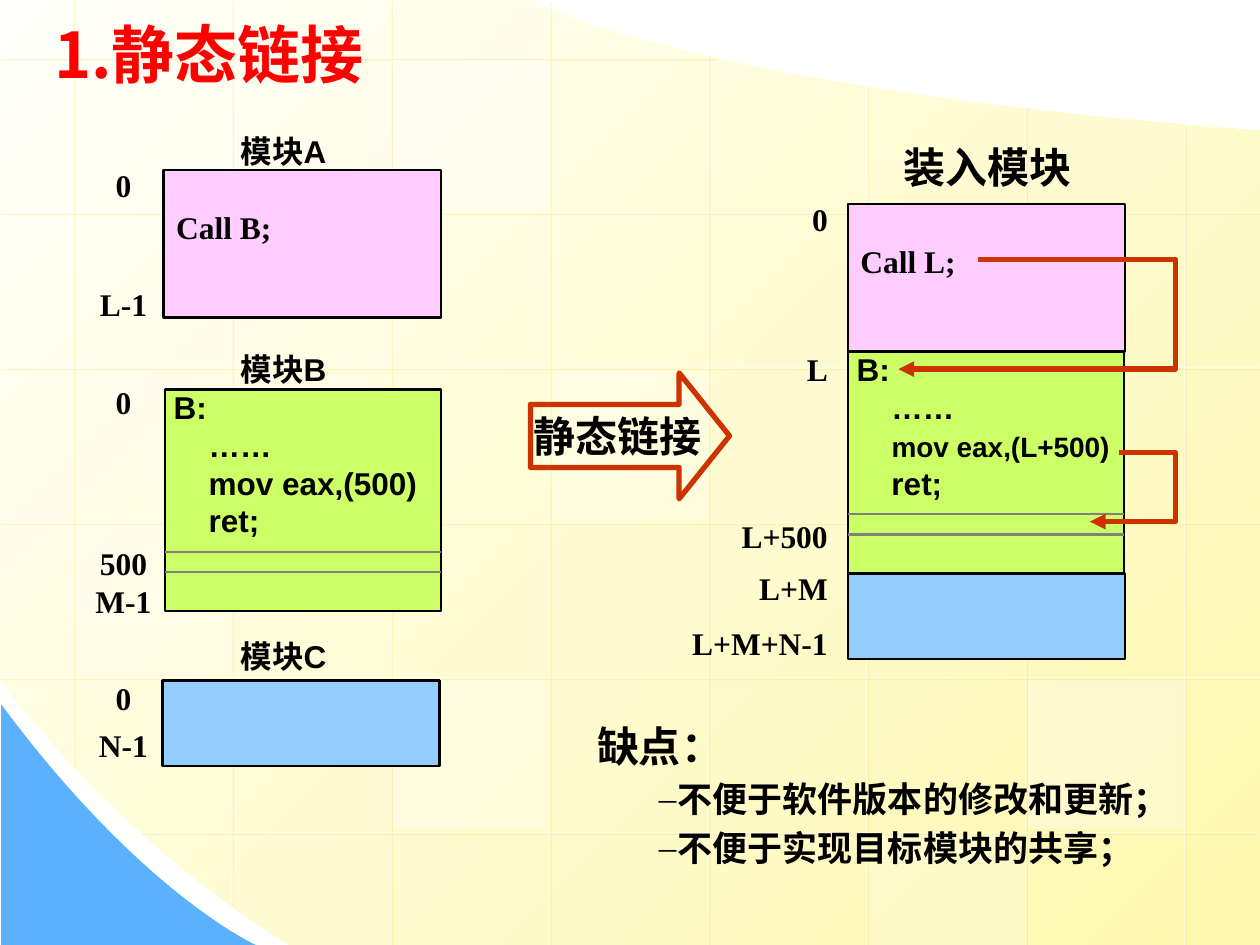
from lxml.etree import SubElement
from pptx import Presentation
from pptx.dml.color import RGBColor as Rgb
from pptx.enum.shapes import MSO_CONNECTOR as Link, MSO_SHAPE as Kind
from pptx.enum.text import MSO_ANCHOR as Anchor, PP_ALIGN as Align
from pptx.oxml.ns import qn
from pptx.util import Inches, Pt

BLACK, WHITE, RED = "000000", "FFFFFF", "CC3300"
PINK, GREEN, BLUE, GRAY = "FFCCFF", "CCFF66", "94CCFE", "808080"
SANS, SERIF, HAN = "Arial", "Times New Roman", "Noto Sans CJK SC"


def tint(text):
    return Rgb.from_string(text)


def fade(node, part):
    SubElement(node, qn("a:alpha"), val=str(part * 1000))


def curve(a, b, c, d, steps=32):
    marks = [i / steps for i in range(steps + 1)]
    return [tuple((1 - t) ** 3 * p + 3 * (1 - t) ** 2 * t * q
                  + 3 * (1 - t) * t * t * r + t ** 3 * s
                  for p, q, r, s in zip(a, b, c, d)) for t in marks]


def write(frame, *lines, size=18, font=SERIF, color=BLACK, align=Align.LEFT,
          anchor=Anchor.MIDDLE, wrap=True, pad=(0, 0, 0, 0)):
    frame.word_wrap = wrap
    frame.vertical_anchor = anchor
    (frame.margin_left, frame.margin_top,
     frame.margin_right, frame.margin_bottom) = map(Inches, pad)
    for i, line in enumerate(lines):
        para = frame.paragraphs[0] if i == 0 else frame.add_paragraph()
        para.alignment = align
        runs = [(line, size)] if isinstance(line, str) else line
        for text, points in runs:
            run = para.add_run()
            run.text = text
            run.font.size = Pt(points)
            run.font.bold = True
            run.font.color.rgb = tint(color)
            run.font.name = font
            SubElement(run.font.fill._xPr, qn("a:ea"), typeface=HAN)


class Deck:
    inset = (0.1, 0.05, 0.1, 0.05)
    edge = 1.5
    bold = 3

    def __init__(self):
        self.prs = Presentation()
        self.prs.slide_width = Inches(10)
        self.prs.slide_height = Inches(7.5)
        self.slide = self.prs.slides.add_slide(self.prs.slide_layouts[6])
        self.shapes = self.slide.shapes

    def style(self, shape, fill=None, line=None, width=edge):
        shape.shadow.inherit = False
        if fill:
            shape.fill.solid()
            shape.fill.fore_color.rgb = tint(fill)
        else:
            shape.fill.background()
        if line:
            shape.line.color.rgb = tint(line)
            shape.line.width = Pt(width)
        else:
            shape.line.fill.background()
        return shape

    def box(self, x, y, w, h, fill=None, line=BLACK, kind=Kind.RECTANGLE, width=edge):
        shape = self.shapes.add_shape(kind, *map(Inches, (x, y, w, h)))
        return self.style(shape, fill, line, width)

    def tile(self, col, row, part):
        top = 0.48 + 1.23 * row
        low, high = max(top, 0), min(top + 1.18, 7.5)
        shape = self.box(0.6 + 1.26 * col, low, 1.23, high - low, WHITE, None)
        fade(shape.element.spPr.find(".//" + qn("a:srgbClr")), part)

    def path_of(self, points, close=True):
        dots = [(Inches(x), Inches(y)) for x, y in points]
        form = self.shapes.build_freeform(*dots[0])
        form.add_line_segments(dots[1:], close=close)
        return form.convert_to_shape()

    def route(self, points):
        shape = self.style(self.path_of(points, False), None, RED, self.bold)
        SubElement(shape.line._get_or_add_ln(), qn("a:tailEnd"), type="triangle")

    def rule(self, x1, y1, x2, y2, color=GRAY, width=edge):
        link = self.shapes.add_connector(Link.STRAIGHT, *map(Inches, (x1, y1, x2, y2)))
        link.line.color.rgb = tint(color)
        link.line.width = Pt(width)
        return link, SubElement(link.element.spPr, qn("a:effectLst"))

    def grid(self, *ends):
        link, effect = self.rule(*ends, color=WHITE, width=0.75)
        fade(link.element.spPr.find(".//" + qn("a:srgbClr")), 50)
        glow = SubElement(effect, qn("a:outerShdw"), dist=str(Pt(1.4)),
                          dir="2700000", algn="ctr", rotWithShape="0")
        fade(SubElement(glow, qn("a:srgbClr"), val="FFCC00"), 34)

    def text(self, x, y, w, h, *lines, **form):
        frame = self.shapes.add_textbox(*map(Inches, (x, y, w, h))).text_frame
        write(frame, *lines, **form)
        return frame

    def label(self, text, x, y, w=1.6, h=0.4, **form):
        form = {"align": Align.CENTER, **form}
        left = x - w if form["align"] == Align.RIGHT else x - w / 2
        self.text(left, y - h / 2, w, h, text, **form)

    def call(self, x, y, text):
        shape = self.box(x, y, 2.2, 1.17, PINK)
        write(shape.text_frame, text, pad=(0.1, 0.05, 0.1, 0.32))

    def code(self, x, y, move):
        self.box(x, y, 2.19, 1.76, GREEN)
        for drop in (1.29, 1.45):
            self.rule(x, y + drop, x + 2.19, y + drop)
        self.text(x - 0.03, y - 0.06, 2.5, 1.3, "B:", "    ……", move, "    ret;",
                  font=SANS, anchor=Anchor.TOP, pad=self.inset)

    def back(self):
        hill = [(10, 1.04), (10, 7.5)]
        hill += curve((2.3, 7.5), (0.86, 6.61), (0, 5.39), (0, 5.39)) + [(0, 0)]
        hill += curve((4.21, 0), (4.21, 0), (5.37, 0.69), (10, 1.04))
        shape = self.style(self.path_of(hill))
        shape.fill.gradient()
        shape.fill.gradient_angle = 315
        for stop, color in zip(shape.fill.gradient_stops, ("FFFFFB", "FEF8AF")):
            stop.color.rgb = tint(color)
        wave = curve((2.03, 7.5), (2.03, 7.5), (1.12, 7.09), (0.01, 5.59))
        self.style(self.path_of([(0.01, 7.5)] + wave), "5CB1FE")
        tops = (0, 0, 0, 0, 0.43, 0.68, 0.85, 0.98)
        lows = (6.09, 7.19) + (7.5,) * 6
        for i, (top, low) in enumerate(zip(tops, lows)):
            x = 0.58 + 1.26 * i
            self.grid(x, top, x, low)
        spans = [(0, 5.68)] + [(0, 10)] * 4 + [(1.11, 9.97)]
        for i, (left, right) in enumerate(spans):
            y = 0.46 + 1.23 * i
            self.grid(right, y, left, y)
        for spot in ((3, 2, 25), (6, 4, 30), (0, 3, 20), (5, 5, 20),
                     (2, 0, 40), (2, 4, 30), (5, 1, 30)):
            self.tile(*spot)

    def notes(self):
        frame = self.text(3.66, 5.68, 5.91, 1.34, [("缺点：", 24)],
                          "不便于软件版本的修改和更新；", "不便于实现目标模块的共享；",
                          size=20, font=SANS, anchor=Anchor.TOP, pad=self.inset)
        for i, para in enumerate(frame.paragraphs):
            props = para._p.get_or_add_pPr()
            left, hang = (1.57, -0.15) if i else (1.27, -0.29)
            props.set("marL", str(Inches(left + (0.05 if i else 0))))
            props.set("indent", str(Inches(hang)))
            if i:
                SubElement(props, qn("a:buFont"), typeface=SERIF)
                SubElement(props, qn("a:buChar"), char="–")
                para.space_before = Pt(4)
            para.line_spacing = Pt(24 if i else 28)


def main():
    deck = Deck()
    deck.back()
    deck.text(0.43, 0.15, 6, 0.55, "1.静态链接", size=36, font=HAN, color="FF0000")

    deck.call(1.3, 1.35, "Call B;")
    deck.code(1.31, 3.09, "    mov eax,(500)")
    deck.box(1.29, 5.4, 2.2, 0.68, BLUE)
    for name, y in (("模块A", 1.2), ("模块B", 2.93), ("模块C", 5.21)):
        deck.label(name, 2.25, y, font=SANS)
    for mark, y in (("0", 1.47), ("L-1", 2.41), ("0", 3.19), ("500", 4.47),
                    ("M-1", 4.77), ("0", 5.54), ("N-1", 5.91)):
        deck.label(mark, 0.98, y)

    arrow = deck.box(4.21, 2.96, 1.58, 1, None, RED, Kind.RIGHT_ARROW, deck.bold)
    arrow.adjustments[0], arrow.adjustments[1] = 0.5, 0.4
    write(arrow.text_frame, "静态链接", size=24, align=Align.CENTER, wrap=False)

    deck.label("装入模块", 7.84, 1.32, size=24)
    deck.call(6.73, 1.62, "Call L;")
    deck.box(6.73, 4.55, 2.2, 0.68, BLUE)
    deck.code(6.73, 2.79, [("    ", 18), ("mov eax,(L+500)", 16)])
    for mark, y in (("0", 1.74), ("L", 2.93), ("L+500", 4.25),
                    ("L+M", 4.67), ("L+M+N-1", 5.1)):
        deck.label(mark, 6.57, y, align=Align.RIGHT)
    deck.route([(7.76, 2.06), (9.33, 2.06), (9.33, 2.93), (7.13, 2.93)])
    deck.route([(8.88, 3.59), (9.33, 3.59), (9.33, 4.14), (8.65, 4.14)])
    deck.notes()
    deck.prs.save("out.pptx")


if __name__ == "__main__":
    main()
